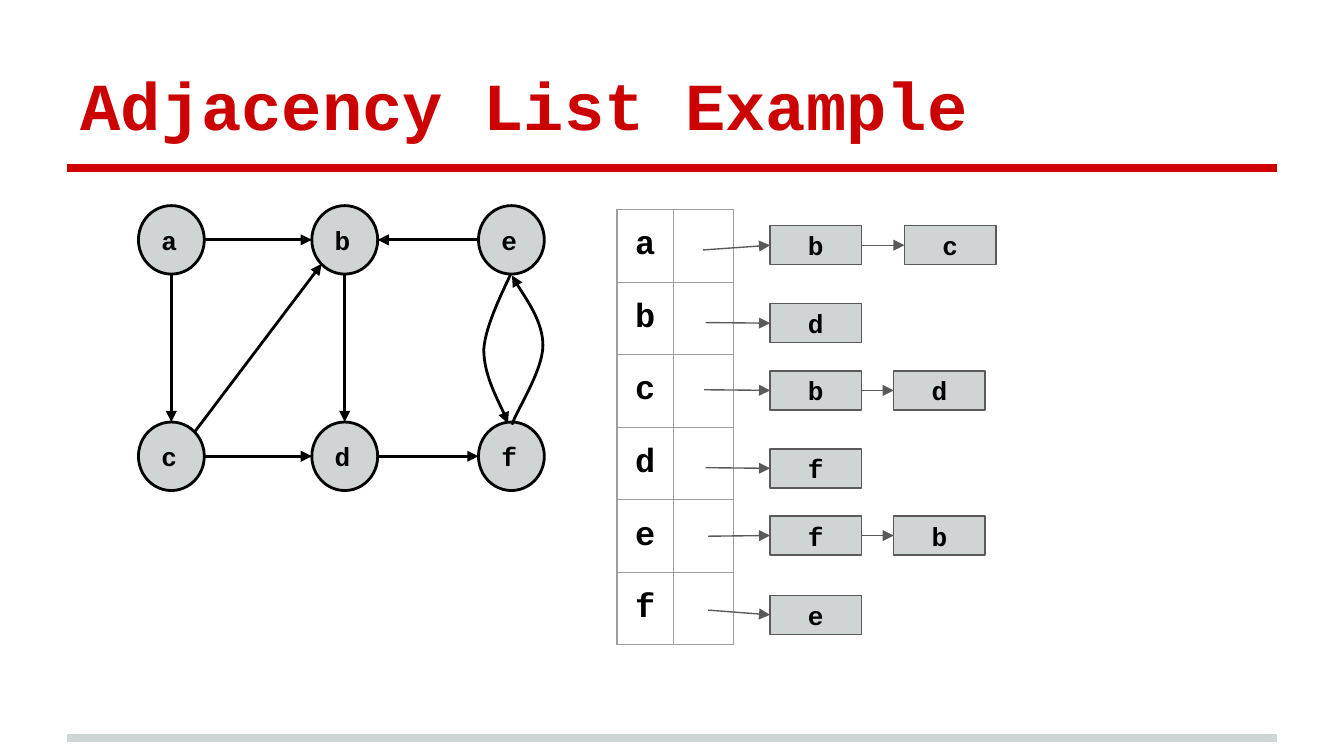
from pptx import Presentation
from pptx.dml.color import RGBColor
from pptx.enum.shapes import MSO_CONNECTOR, MSO_SHAPE
from pptx.enum.text import MSO_ANCHOR, PP_ALIGN
from pptx.oxml import parse_xml
from pptx.oxml.ns import nsdecls, qn
from pptx.util import Pt

SCALE = 9144  # EMU in one px, 100 px to the inch
FONT = "Courier New"
RED, GREY, DARK, BLACK, RULE = "CC0202", "CFD4D4", "5B595A", "000000", "9E9E9E"

# Graph
NODE_W, NODE_H = 49, 51
NODES = {"a": (103, 153), "b": (232, 153), "e": (356, 153),
         "c": (103, 314), "d": (232, 314), "f": (356, 314)}
LEFT, RIGHT, TOP, BOTTOM = (0, 0.5), (1, 0.5), (0.5, 0), (0.5, 1)
EDGES = [("a", RIGHT, "b", LEFT), ("a", BOTTOM, "c", TOP),
         ("c", (0.85, 0.15), "b", (0.15, 0.85)), ("c", RIGHT, "d", LEFT),
         ("e", LEFT, "b", RIGHT), ("d", RIGHT, "f", LEFT),
         ("b", BOTTOM, "d", TOP)]
CURVES = [
    [(381, 316), (384, 306), (404, 276), (404, 257),
     (404, 239), (385, 213), (381, 205)],
    [(380, 204), (376, 213), (361, 242), (360, 260),
     (360, 279), (375, 306), (378, 315)],
]

# Lists: key, pointer start, top of boxes, left and name of each box
LISTS = [("a", (523, 186), 168, [(573, "b"), (673, "c")]),
         ("b", (525, 240), 226, [(573, "d")]),
         ("c", (524, 290), 276, [(573, "b"), (665, "d")]),
         ("d", (525, 348), 334, [(573, "f")]),
         ("e", (527, 399), 384, [(573, "f"), (665, "b")]),
         ("f", (527, 454), 443, [(573, "e")])]


def px(n):
    return round(n * SCALE)


def rgb(code):
    return RGBColor.from_string(code)


def write(frame, text, size, color=BLACK, align=PP_ALIGN.LEFT):
    frame.text = text
    frame.word_wrap = True
    frame.margin_left = frame.margin_right = px(10)
    frame.margin_top = frame.margin_bottom = px(10)
    para = frame.paragraphs[0]
    para.alignment = align
    font = para.runs[0].font
    font.name, font.size, font.bold = FONT, Pt(size), True
    font.color.rgb = rgb(color)


def stroke(item, color, width):
    item.line.color.rgb = rgb(color)
    item.line.width = Pt(width)


def point(item):
    """Put an arrowhead at the end of a line."""
    head = parse_xml(f'<a:tailEnd {nsdecls("a")} type="triangle"/>')
    item.element.spPr.find(qn("a:ln")).append(head)


def add_title(slide, text):
    box = slide.shapes.add_textbox(px(50), px(23), px(900), px(94))
    write(box.text_frame, text, 36, RED)
    box.text_frame.vertical_anchor = MSO_ANCHOR.BOTTOM


def add_block(slide, kind, text, place, line, align):
    block = slide.shapes.add_shape(kind, *map(px, place))
    block.shadow.inherit = False
    block.fill.solid()
    block.fill.fore_color.rgb = rgb(GREY)
    stroke(block, *line)
    write(block.text_frame, text, 14, align=align)
    block.text_frame.vertical_anchor = MSO_ANCHOR.MIDDLE
    return block


def add_line(slide, start, end, color, width, arrow=True):
    line = slide.shapes.add_connector(
        MSO_CONNECTOR.STRAIGHT, *map(px, (*start, *end)))
    stroke(line, color, width)
    line.element.spPr.append(parse_xml(f'<a:effectLst {nsdecls("a")}/>'))
    if arrow:
        point(line)
    return line


def add_curve(slide, points):
    """Draw a chain of cubic curves: a start, then three points for each."""
    first, *rest = [(px(x), px(y)) for x, y in points]
    build = slide.shapes.build_freeform(*first)
    build.add_line_segments(rest, close=False)
    curve = build.convert_to_shape()
    steps = curve.element.xpath(".//a:lnTo")
    for i in range(0, len(steps), 3):
        cubic = parse_xml(f'<a:cubicBezTo {nsdecls("a")}/>')
        steps[i].addprevious(cubic)
        for step in steps[i:i + 3]:
            cubic.append(step[0])
            step.getparent().remove(step)
    curve.shadow.inherit = False
    curve.fill.background()
    stroke(curve, BLACK, 1.5)
    point(curve)


def add_border(cell):
    props = cell._tc.get_or_add_tcPr()
    for side in ("lnL", "lnR", "lnT", "lnB"):
        props.append(parse_xml(
            f'<a:{side} {nsdecls("a")} w="{Pt(0.75)}"><a:solidFill>'
            f'<a:srgbClr val="{RULE}"/></a:solidFill></a:{side}>'))


def add_keys(slide, keys):
    rows = len(keys)
    table = slide.shapes.add_table(
        rows, 2, px(459), px(156), px(87), px(54 * rows)).table
    table.first_row = table.horz_banding = False
    table.columns[0].width, table.columns[1].width = px(42), px(45)
    for i, key in enumerate(keys):
        table.rows[i].height = px(54)
        for cell in table.rows[i].cells:
            add_border(cell)
            cell.fill.background()
        cell = table.cell(i, 0)
        write(cell.text_frame, key, 18, align=PP_ALIGN.CENTER)
        cell.vertical_anchor = MSO_ANCHOR.MIDDLE


def add_chain(slide, start, top, items):
    last = None
    for left, name in items:
        box = add_block(slide, MSO_SHAPE.RECTANGLE, name,
                        (left, top, 68, 29), (DARK, 0.75), PP_ALIGN.CENTER)
        line = add_line(slide, start, (left, top + 14), DARK, 0.75)
        if last is not None:
            line.begin_connect(last, 3)
        line.end_connect(box, 1)
        last = box


def spot(name, side):
    """Find a place on a node from its share of the width and height."""
    x, y = NODES[name]
    return x + NODE_W * side[0], y + NODE_H * side[1]


def main():
    deck = Presentation()
    deck.slide_width = px(1000)
    deck.slide_height = deck.slide_width * 9 // 16
    slide = deck.slides.add_slide(deck.slide_layouts[6])

    # Rules and title
    for y, color in ((549, GREY), (125, RED)):
        add_line(slide, (50, y), (950, y), color, 4, arrow=False)
    add_title(slide, "Adjacency List Example")

    # Graph
    for name, corner in NODES.items():
        add_block(slide, MSO_SHAPE.OVAL, name, (*corner, NODE_W, NODE_H),
                  (BLACK, 1.5), PP_ALIGN.LEFT)
    for tail, leave, head, enter in EDGES:
        add_line(slide, spot(tail, leave), spot(head, enter), BLACK, 1.5)
    for points in CURVES:
        add_curve(slide, points)

    # Adjacency lists
    add_keys(slide, [row[0] for row in LISTS])
    for _, start, top, items in LISTS:
        add_chain(slide, start, top, items)

    deck.save("out.pptx")


if __name__ == "__main__":
    main()
